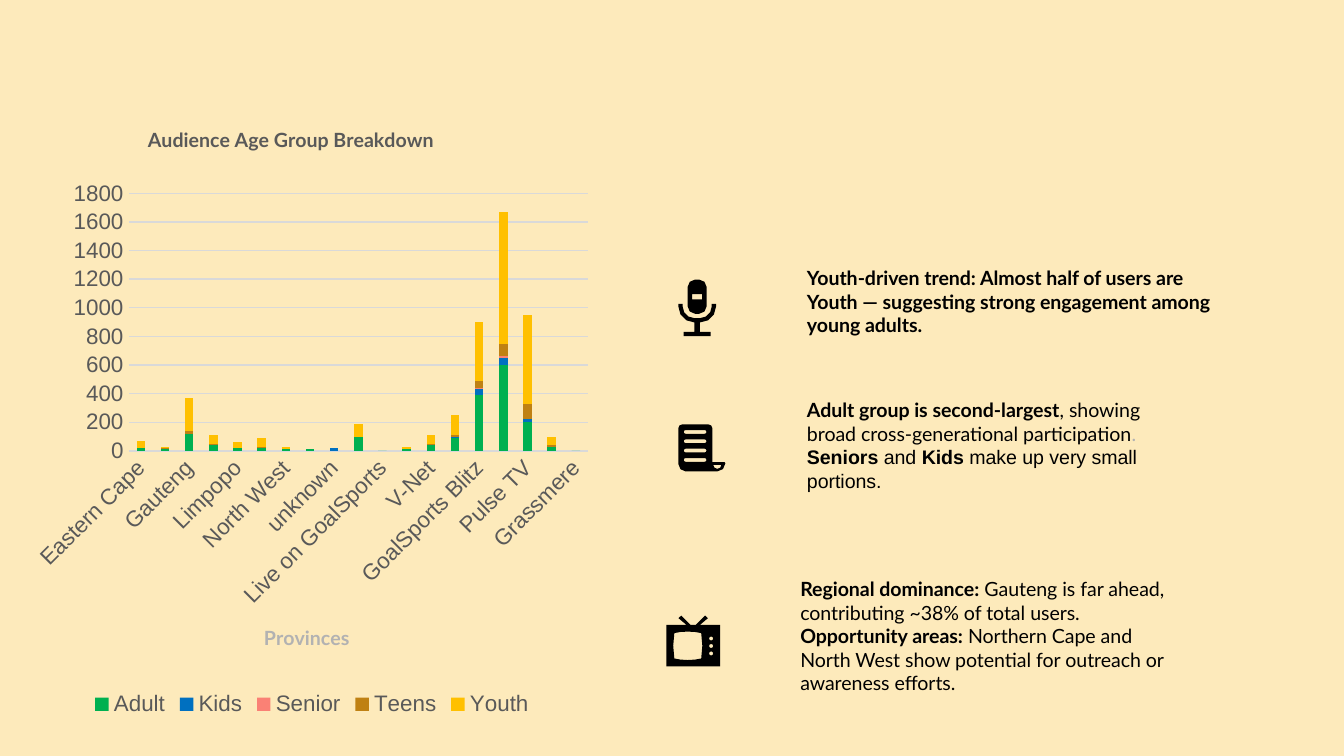
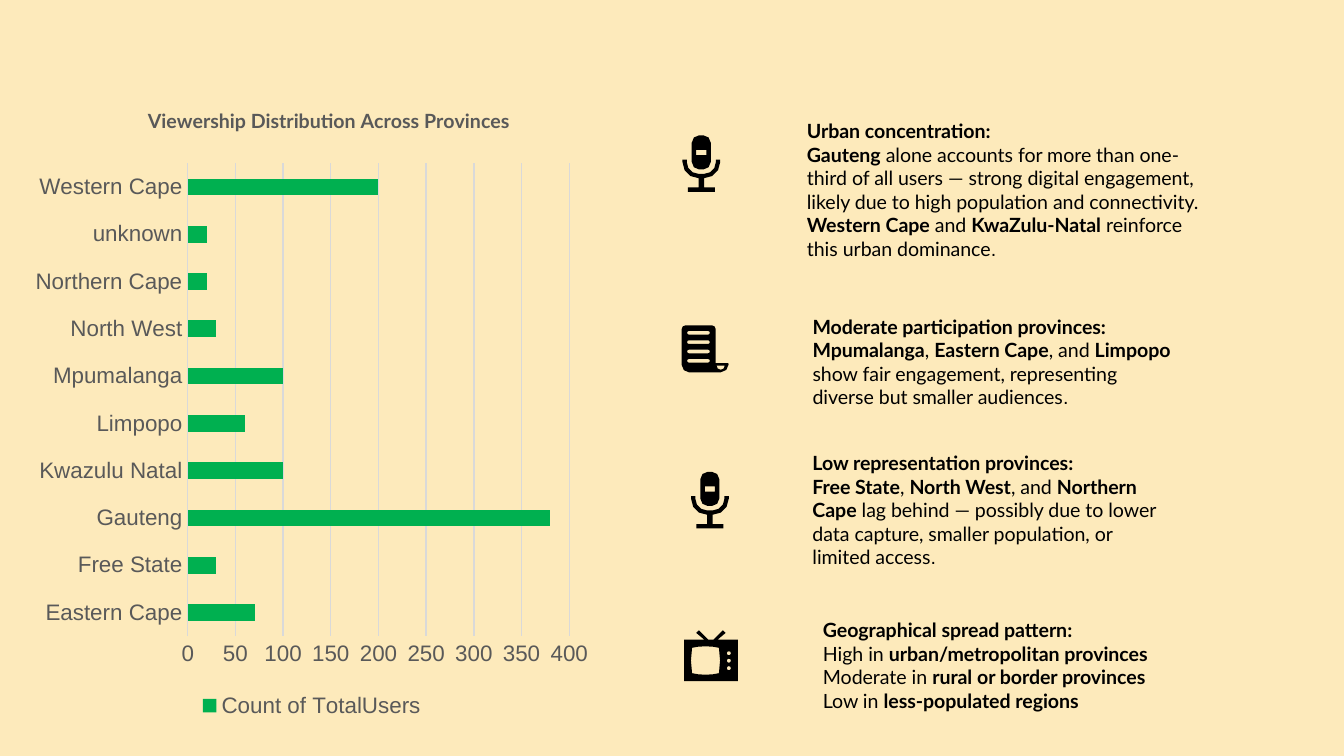
import math

import pptx
import pptx.chart.data
import pptx.dml.color
import pptx.enum.chart
import pptx.enum.text
import pptx.oxml
import pptx.oxml.ns
import pptx.util

Pt = pptx.util.Pt
RGBColor = pptx.dml.color.RGBColor
ChartType = pptx.enum.chart.XL_CHART_TYPE

CREAM = RGBColor(0xFD, 0xEA, 0xBB)
BLACK = RGBColor(0x00, 0x00, 0x00)
DARK_GREY = RGBColor(0x59, 0x59, 0x59)
MID_GREY = RGBColor(0xB2, 0xB2, 0xB2)
LIGHT_GREY = RGBColor(0xD9, 0xD9, 0xD9)
GREEN = RGBColor(0x00, 0xB0, 0x50)
BLUE = RGBColor(0x00, 0x70, 0xC0)
SALMON = RGBColor(0xFA, 0x81, 0x75)
BROWN = RGBColor(0xBF, 0x81, 0x13)
YELLOW = RGBColor(0xFF, 0xC0, 0x00)

BODY_FONT = {"name": "Lato", "size": Pt(10.5), "color": BLACK}
TITLE_FONT = {**BODY_FONT, "bold": True, "color": DARK_GREY}
AXIS_TITLE_FONT = {**TITLE_FONT, "color": MID_GREY}
LABEL_FONT = {"name": "Arial", "size": Pt(12), "color": DARK_GREY}
ARIAL = {"name": "Arial"}
INSIGHT_FRAME = {
    "word_wrap": True,
    "vertical_anchor": pptx.enum.text.MSO_ANCHOR.MIDDLE,
    "margin_left": Pt(10.8),
    "margin_right": Pt(10.8),
    "margin_top": Pt(7.2),
    "margin_bottom": Pt(7.2),
}
PATTERN_FRAME = {
    "word_wrap": True,
    "auto_size": pptx.enum.text.MSO_AUTO_SIZE.SHAPE_TO_FIT_TEXT,
}

PROVINCES = [
    "Eastern Cape", "Free State", "Gauteng", "Kwazulu Natal", "Limpopo",
    "Mpumalanga", "North West", "Northern Cape", "unknown", "Western Cape",
]
PROGRAMMES = [
    "Live on GoalSports", "QK", "V-Net", "LookIn", "GoalSports Blitz",
    "Goalsports Live Events", "Pulse TV", "Zivo", "Grassmere",
]
AGE_GROUPS = [
    ("Adult", GREEN, [20, 10, 120, 40, 20, 20, 10, 10, None, 100,
                      0, 10, 40, 90, 390, 600, 200, 30, 0]),
    ("Kids", BLUE, [0, None, 0, None, None, None, None, None, 20, 0,
                    None, 0, 0, 10, 40, 50, 20, 0, None]),
    ("Senior", SALMON, [None, None, 0, None, 0, None, None, None, None, 0,
                        None, None, None, None, 10, 10, 0, None, None]),
    ("Teens", BROWN, [0, 10, 20, 10, 0, 10, 0, 0, None, 0,
                      None, 0, 10, 10, 50, 90, 110, 10, None]),
    ("Youth", YELLOW, [50, 10, 230, 60, 40, 60, 20, 0, None, 90,
                       None, 20, 60, 140, 410, 920, 620, 60, None]),
]
USER_COUNTS = [
    ("Count of TotalUsers", GREEN, [70, 30, 380, 100, 60, 100, 30, 20, 20, 200]),
]
AGE_CHART_BOX = (13, 61.2, 308.2, 325.4)
PROVINCE_CHART_BOX = (13, 51.1, 308.2, 336.2)


def set_font(font, values):
    for name, value in values.items():
        if name == "color":
            font.color.rgb = value
        else:
            setattr(font, name, value)


def add_slide(presentation):
    slide = presentation.slides.add_slide(presentation.slide_layouts[6])
    slide.background.fill.solid()
    slide.background.fill.fore_color.rgb = CREAM
    return slide


def add_text(slide, box, paragraphs, frame_values=INSIGHT_FRAME):
    frame = slide.shapes.add_textbox(*map(Pt, box)).text_frame
    for name, value in frame_values.items():
        setattr(frame, name, value)
    for index, segments in enumerate(paragraphs):
        paragraph = frame.add_paragraph() if index else frame.paragraphs[0]
        for text, overrides in segments:
            for position, part in enumerate(text.split("**")):
                if part:
                    run = paragraph.add_run()
                    run.text = part
                    bold = position % 2 == 1
                    set_font(run.font, {**BODY_FONT, "bold": bold, **overrides})


def arc(center_x, center_y, radius, start, end, steps=2):
    angles = [math.radians(start + (end - start) * step / steps)
              for step in range(steps + 1)]
    return [(center_x + radius * math.cos(angle), center_y + radius * math.sin(angle))
            for angle in angles]


def rounded_box(left, top, width, height, radius):
    right, bottom = left + width - radius, top + height - radius
    left, top = left + radius, top + radius
    return (arc(left, top, radius, 180, 270) + arc(right, top, radius, 270, 360)
            + arc(right, bottom, radius, 0, 90) + arc(left, bottom, radius, 90, 180))


def add_outline(shapes, left, top, contours):
    builder = None
    for contour in contours:
        points = list(dict.fromkeys((Pt(round(x, 2)), Pt(round(y, 2))) for x, y in contour))
        if builder is None:
            builder = shapes.build_freeform(*points[0], scale=1.0)
        else:
            builder.move_to(*points[0])
        builder.add_line_segments(points[1:], close=True)
    shape = builder.convert_to_shape(Pt(left), Pt(top))
    shape.shadow.inherit = False
    shape.fill.solid()
    shape.fill.fore_color.rgb = BLACK
    shape.line.fill.background()


def add_microphone(slide, left, top):
    stand = (
        [(0, 13)] + arc(8.6, 14.4, 8.6, 180, 90, 3)
        + [(8.6, 28), (2.9, 28), (2.9, 30.3), (17.3, 30.3), (17.3, 28), (11.6, 28)]
        + arc(11.6, 14.4, 8.6, 90, 0, 3) + [(20.2, 13), (17.9, 13)]
        + arc(11.6, 14.4, 6.3, 0, 90, 3) + arc(8.6, 14.4, 6.3, 90, 180, 3) + [(2.3, 13)]
    )
    head = rounded_box(5, 0, 10.2, 18.3, 4)
    slot = [(7.4, 7.8), (12.8, 7.8), (12.8, 10.6), (7.4, 10.6)]
    group = slide.shapes.add_group_shape()
    add_outline(group.shapes, left, top, [stand])
    add_outline(group.shapes, left, top, [head, slot])


def add_scroll(slide, left, top):
    sheet = (
        arc(2, 2, 2, 180, 270) + arc(16.2, 2, 2, 270, 360)
        + [(18.2, 20.2), (24.8, 20.2)] + arc(20.8, 20.8, 4.4, 0, 90)
        + arc(4, 21.2, 4, 90, 180)
    )
    lines = [rounded_box(2.9, 3 + 5 * row, 12.2, 2, 1) for row in range(4)]
    curl = arc(20.9, 21.6, 2.2, 0, 180, 4)
    add_outline(slide.shapes, left, top, [sheet, *lines, curl])


def add_television(slide, left, top):
    case = [
        (8, 0), (6.5, 1.4), (10.8, 5), (0, 5), (0, 27.2), (28.8, 27.2),
        (28.8, 5), (18, 5), (22.3, 1.4), (20.8, 0), (15.8, 5), (13, 5),
    ]
    screen = [
        (4.3, 9.4), (7.6, 8.8), (11.5, 8.6), (15.4, 8.8), (18.7, 9.4), (19.3, 16.2),
        (18.7, 23), (15.4, 23.6), (11.5, 23.8), (7.6, 23.6), (4.3, 23), (3.7, 16.2),
    ]
    knobs = [rounded_box(22.9, 11.2 + 4 * row, 2.2, 2.2, 1.1) for row in range(3)]
    add_outline(slide.shapes, left, top, [case, screen, *knobs])


def place(element, chart_box, bounds, target=None):
    for layout in element.findall(pptx.oxml.ns.qn("c:layout")):
        element.remove(layout)
    settings = {"layoutTarget": target} if target else {}
    settings.update(xMode="edge", yMode="edge")
    for name, length, total in zip("xywh", bounds, chart_box[2:] * 2):
        settings[name] = length / total
    children = "".join(f'<c:{name} val="{value}"/>' for name, value in settings.items())
    layout = pptx.oxml.parse_xml(
        f'<c:layout {pptx.oxml.ns.nsdecls("c")}>'
        f"<c:manualLayout>{children}</c:manualLayout></c:layout>"
    )
    text = element.find(pptx.oxml.ns.qn("c:tx"))
    if text is None:
        element.insert(0, layout)
    else:
        text.addnext(layout)


def set_title(title, text, font_values, chart_box, corner):
    run = title.text_frame.paragraphs[0].add_run()
    run.text = text
    set_font(run.font, font_values)
    place(title._element, chart_box, corner)


def style_axis(axis):
    axis.major_tick_mark = pptx.enum.chart.XL_TICK_MARK.NONE
    axis.minor_tick_mark = pptx.enum.chart.XL_TICK_MARK.NONE
    set_font(axis.tick_labels.font, LABEL_FONT)


def add_bar_chart(slide, box, kind, title, categories, series, plot_box, maximum, unit):
    data = pptx.chart.data.CategoryChartData()
    data.categories = categories
    for name, color, values in series:
        data.add_series(name, values)
    chart = slide.shapes.add_chart(kind, *map(Pt, box), data).chart
    set_font(chart.font, {"name": "Arial", "size": Pt(10), "color": BLACK})
    chart.has_title = True
    set_title(chart.chart_title, title, TITLE_FONT, box, (64.3, 4.2))
    chart.has_legend = True
    chart.legend.position = pptx.enum.chart.XL_LEGEND_POSITION.BOTTOM
    chart.legend.include_in_layout = False
    set_font(chart.legend.font, LABEL_FONT)

    plot = chart.plots[0]
    plot.gap_width = 182
    plot.vary_by_categories = False
    if kind == ChartType.COLUMN_STACKED:
        plot.overlap = 100
    for bars, (name, color, values) in zip(plot.series, series):
        bars.format.fill.solid()
        bars.format.fill.fore_color.rgb = color
        bars.invert_if_negative = False

    style_axis(chart.category_axis)
    style_axis(chart.value_axis)
    chart.value_axis.minimum_scale = 0
    chart.value_axis.maximum_scale = maximum
    chart.value_axis.major_unit = unit
    chart.value_axis.has_major_gridlines = True
    chart.value_axis.format.line.fill.background()
    for part in (chart.category_axis, chart.value_axis.major_gridlines):
        part.format.line.color.rgb = LIGHT_GREY
        part.format.line.width = Pt(0.75)
    place(chart._chartSpace.chart.plotArea, box, plot_box, "inner")
    return chart


def add_age_slide(presentation):
    slide = add_slide(presentation)
    add_text(slide, (421.5, 128.6, 238, 65.5), [
        [("**Youth-driven trend: Almost half of users are Youth — suggesting "
          "strong engagement among young adults.**", {})],
    ])
    add_text(slide, (417.9, 276.1, 219.6, 128.9), [
        [("**Regional dominance:** Gauteng is far ahead, contributing ~38% of "
          "total users.", {})],
        [("**Opportunity areas:** Northern Cape and North West show potential "
          "for outreach or awareness efforts.", {})],
    ])
    add_text(slide, (421.5, 206, 214.6, 64.8), [
        [("**Adult group is second-largest**, showing broad cross-generational "
          "participation", {}), (".", {"color": MID_GREY})],
        [("**Seniors** and **Kids** make up very small portions.", ARIAL)],
    ])
    add_television(slide, 357, 329.8)
    add_microphone(slide, 363.4, 149.8)
    add_scroll(slide, 363.4, 227.4)
    chart = add_bar_chart(
        slide, AGE_CHART_BOX, ChartType.COLUMN_STACKED,
        "Audience Age Group Breakdown", PROVINCES + PROGRAMMES, AGE_GROUPS,
        (56, 42.4, 246, 138), 1800, 200,
    )
    axis = chart.category_axis
    axis._element.txPr.bodyPr.set("rot", "-2700000")
    set_title(axis.axis_title, "Provinces", AXIS_TITLE_FONT, AGE_CHART_BOX, (126.5, 270.8))


def add_province_slide(presentation):
    slide = add_slide(presentation)
    add_text(slide, (421.5, 59.8, 238, 83.5), [
        [("**Urban concentration:**", {})],
        [("**Gauteng** alone accounts for more than one-third of all users — strong "
          "digital engagement, likely due to high population and connectivity.", {})],
        [("**Western Cape** and **KwaZulu-Natal** reinforce this urban dominance", {}),
         (".", ARIAL)],
    ])
    add_text(slide, (424.5, 237.6, 213, 71.3), [
        [("**Low representation provinces:**", {})],
        [("**Free State**, **North West**, and **Northern Cape** lag behind — possibly "
          "due to lower data capture, smaller population, or limited access", {}),
         (".", ARIAL)],
    ])
    add_text(slide, (424.5, 155.5, 214.6, 76.3), [
        [("**Moderate participation provinces:**", {})],
        [("**Mpumalanga**, **Eastern Cape**, and **Limpopo** show fair engagement, "
          "representing diverse but smaller audiences", {}), (".", ARIAL)],
    ])
    add_television(slide, 366.5, 337.7)
    add_microphone(slide, 365.6, 72.5)
    add_scroll(slide, 365.2, 174.3)
    add_bar_chart(
        slide, PROVINCE_CHART_BOX, ChartType.BAR_CLUSTERED,
        "Viewership Distribution Across Provinces", PROVINCES, USER_COUNTS,
        (87.6, 36.4, 204.4, 253.4), 400, 50,
    )
    add_text(slide, (433.8, 327.6, 264.2, 70.6), [
        [("**Geographical spread pattern:**", {})],
        [("High in **urban/metropolitan provinces**", {})],
        [("Moderate in **rural or border provinces**", {})],
        [("Low in **less-populated regions**", {})],
    ], PATTERN_FRAME)
    add_microphone(slide, 370.2, 252.8)


def main():
    presentation = pptx.Presentation()
    presentation.slide_width = Pt(720)
    presentation.slide_height = Pt(405)
    add_age_slide(presentation)
    add_province_slide(presentation)
    presentation.save("out.pptx")


if __name__ == "__main__":
    main()
